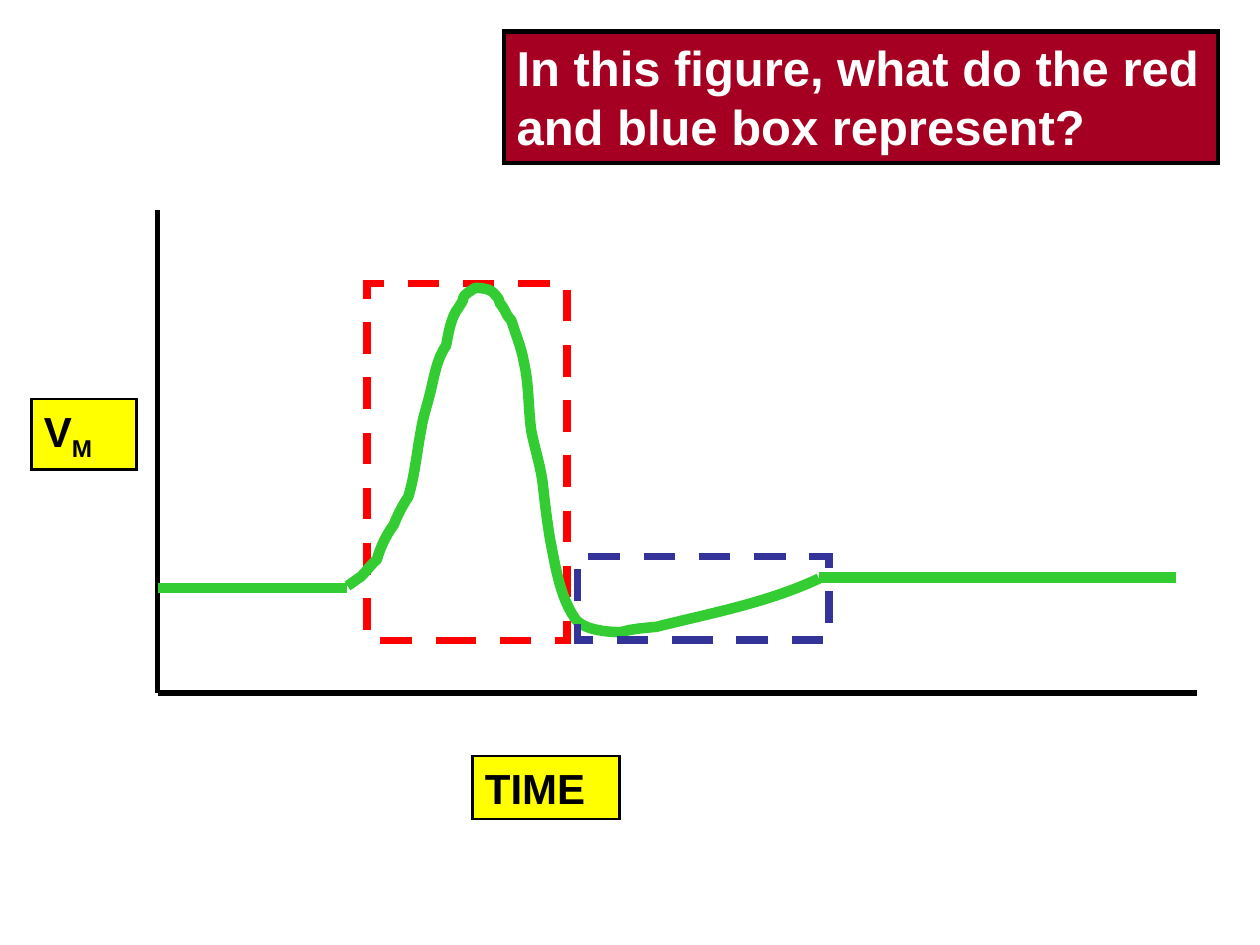
from dataclasses import dataclass
from lxml.etree import SubElement
from pptx import Presentation
from pptx.dml.color import RGBColor as Color
from pptx.enum.dml import MSO_LINE_DASH_STYLE as Dash
from pptx.enum.shapes import MSO_CONNECTOR as Connector, MSO_SHAPE as Shape
from pptx.enum.text import MSO_ANCHOR as Anchor, MSO_AUTO_SIZE as AutoSize, PP_ALIGN as Align
from pptx.oxml.ns import qn
from pptx.util import Pt

PX = 7620


@dataclass(frozen=True)
class Theme:
    font: str = "Arial"
    title_size: int = 28
    label_size: int = 24
    black: str = "000000"
    white: str = "FFFFFF"
    title_fill: str = "A50021"
    label_fill: str = "FFFF00"
    curve: str = "33CC33"
    red_box: str = "FF0000"
    blue_box: str = "333399"
    title_line: float = 2.5
    label_line: float = 1.5
    axis_line: int = 3
    dash_line: float = 4.5
    curve_line: int = 6


THEME = Theme()

CURVE_START = (0, 284)
CURVE_BEZIERS = [
    (5, 281, 8, 278, 13, 275),
    (18, 270, 22, 264, 28, 259),
    (31, 248, 37, 235, 44, 226),
    (48, 216, 52, 208, 58, 199),
    (64, 179, 66, 157, 70, 136),
    (72, 122, 77, 109, 80, 95),
    (83, 82, 86, 66, 94, 55),
    (96, 44, 98, 32, 103, 23),
    (106, 19, 110, 12, 110, 12),
    (110, 11, 110, 8, 112, 7),
    (115, 4, 122, 0, 122, 0),
    (134, 1, 137, 1, 144, 11),
    (148, 23, 142, 8, 150, 22),
    (151, 23, 151, 25, 152, 26),
    (154, 29, 155, 30, 156, 31),
    (160, 44, 166, 58, 168, 71),
    (173, 92, 172, 114, 175, 136),
    (178, 152, 184, 170, 186, 187),
    (188, 205, 190, 222, 193, 240),
    (198, 265, 202, 293, 216, 314),
    (223, 326, 248, 328, 260, 328),
    (271, 325, 282, 324, 294, 323),
    (346, 310, 400, 300, 449, 277),
]


def emu(*lengths):
    return [length * PX for length in lengths]


def set_line(shape, color, width, dash=None, miter=False):
    shape.line.color.rgb = Color.from_string(color)
    shape.line.width = Pt(width)
    if dash:
        shape.line.dash_style = dash
    if miter:
        outline = shape._element.spPr.find(qn("a:ln"))
        SubElement(outline, qn("a:miter")).set("lim", "800000")


def set_fill(shape, color):
    shape.fill.solid()
    shape.fill.fore_color.rgb = Color.from_string(color)


def write_text(shape, text, *, size, color, subscript=""):
    frame = shape.text_frame
    frame.word_wrap = True
    frame.auto_size = AutoSize.NONE
    frame.vertical_anchor = Anchor.TOP
    frame.margin_left = frame.margin_right = 12 * PX
    frame.margin_top = frame.margin_bottom = 6 * PX
    paragraph = frame.paragraphs[0]
    paragraph.alignment = Align.LEFT
    for part in filter(None, (text, subscript)):
        run = paragraph.add_run()
        run.text = part
        run.font.name = THEME.font
        run.font.size = Pt(size)
        run.font.bold = True
        run.font.color.rgb = Color.from_string(color)
    if subscript:
        run.font._element.set("baseline", "-25000")


def add_rectangle(slide, box):
    shape = slide.shapes.add_shape(Shape.RECTANGLE, *emu(*box))
    shape.shadow.inherit = False
    return shape


def add_line(slide, start, end, color, width):
    line = slide.shapes.add_connector(Connector.STRAIGHT, *emu(*start, *end))
    SubElement(line._element.spPr, qn("a:effectLst"))
    set_line(line, color, width)


def add_dashed_box(slide, box, color):
    shape = add_rectangle(slide, box)
    shape.fill.background()
    set_line(shape, color, THEME.dash_line, Dash.DASH, miter=True)


def add_label(slide, box, text, subscript=""):
    shape = add_rectangle(slide, box)
    set_fill(shape, THEME.label_fill)
    set_line(shape, THEME.black, THEME.label_line, miter=True)
    write_text(shape, text, size=THEME.label_size, color=THEME.black, subscript=subscript)


def bend_segments(curve, beziers):
    segments = list(curve._element.iter(qn("a:lnTo")))
    for segment, bezier in zip(segments, beziers):
        segment.tag = qn("a:cubicBezTo")
        segment.clear()
        for x, y in zip(bezier[::2], bezier[1::2]):
            point = SubElement(segment, qn("a:pt"))
            point.set("x", str(x * PX))
            point.set("y", str(y * PX))


def add_curve(slide, left, top):
    knots = [CURVE_START] + [bezier[-2:] for bezier in CURVE_BEZIERS]
    points = [emu(left + x, top + y) for x, y in knots]
    builder = slide.shapes.build_freeform(*points[0])
    builder.add_line_segments(points[1:], close=False)
    curve = builder.convert_to_shape()
    bend_segments(curve, CURVE_BEZIERS)
    curve.shadow.inherit = False
    curve.fill.background()
    set_line(curve, THEME.curve, THEME.curve_line)


def add_title(slide, box):
    title = slide.shapes.title
    title.left, title.top, title.width, title.height = emu(*box)
    set_fill(title, THEME.title_fill)
    set_line(title, THEME.black, THEME.title_line, miter=True)
    write_text(title, "In this figure, what do the red and blue box represent?",
               size=THEME.title_size, color=THEME.white)


def add_potential_graph(slide, box):
    left, top, width, height = box
    right, bottom = left + width, top + height
    add_dashed_box(slide, (left + 200, top + 70, 190, 340), THEME.red_box)
    for start, end in (((left, top), (left, bottom)), ((left, bottom), (right, bottom))):
        add_line(slide, start, end, THEME.black, THEME.axis_line)
    add_line(slide, (left, top + 360), (left + 180, top + 360), THEME.curve, THEME.curve_line)
    add_curve(slide, left + 181, top + 74)
    add_line(slide, (left + 630, top + 350), (left + 970, top + 350), THEME.curve, THEME.curve_line)
    add_label(slide, (left + 300, bottom + 60, 140, 60), "TIME")
    add_label(slide, (left - 120, top + 180, 100, 67), "V", subscript="M")
    add_dashed_box(slide, (left + 400, top + 330, 240, 80), THEME.blue_box)


def main():
    presentation = Presentation()
    presentation.slide_width, presentation.slide_height = emu(1200, 900)
    slide = presentation.slides.add_slide(presentation.slide_layouts[5])
    add_title(slide, (480, 30, 680, 125))
    add_potential_graph(slide, (150, 200, 990, 460))
    presentation.save("out.pptx")


if __name__ == "__main__":
    main()
